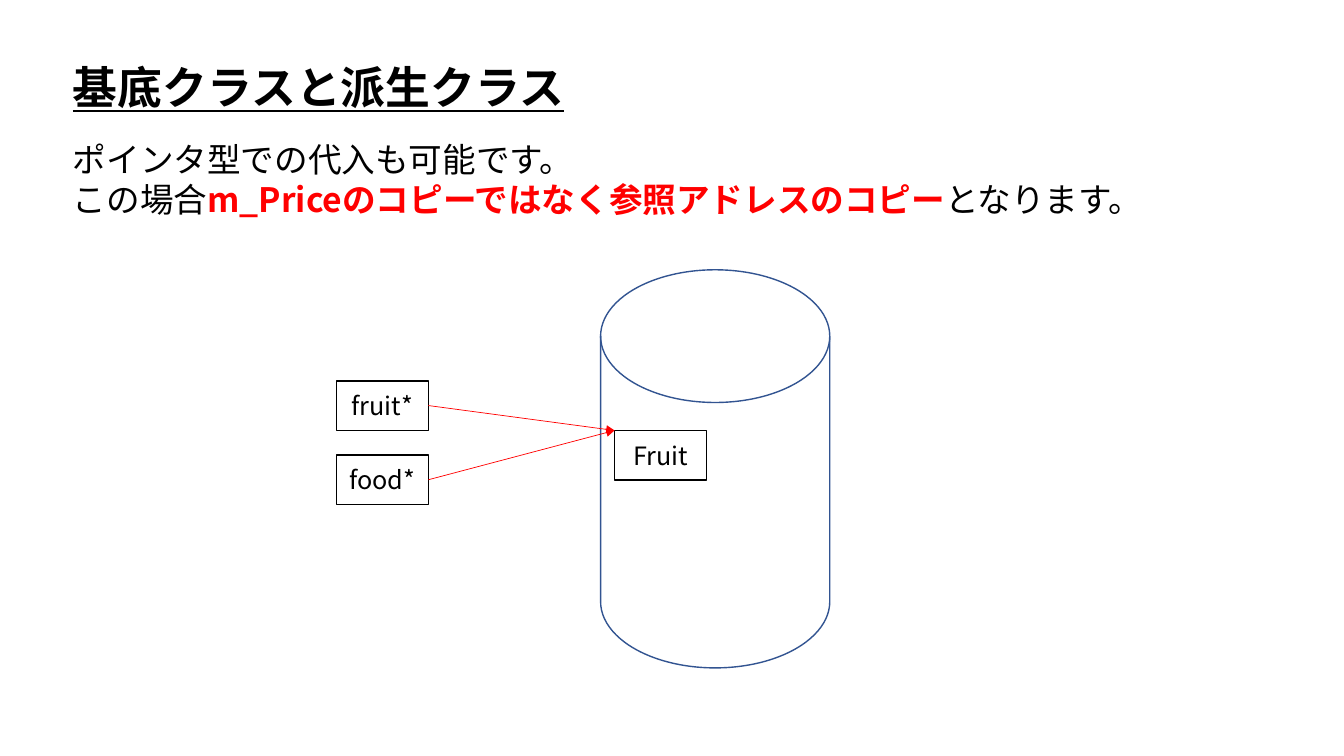
import pptx
import pptx.dml.color
import pptx.enum.shapes
import pptx.enum.text
import pptx.oxml.ns
import pptx.util
from lxml import etree

Pt = pptx.util.Pt
RGBColor = pptx.dml.color.RGBColor
Shape = pptx.enum.shapes.MSO_SHAPE
qn = pptx.oxml.ns.qn

FONT = "Noto Sans CJK JP"
BLACK = RGBColor(0x00, 0x00, 0x00)
WHITE = RGBColor(0xFF, 0xFF, 0xFF)
RED = RGBColor(0xFF, 0x00, 0x00)
BLUE = RGBColor(0x32, 0x54, 0x91)


def add_text(para, text, size, color=BLACK, bold=False, underline=None):
    span = para.add_run()
    span.text = text
    font = span.font
    font.size = Pt(size)
    font.bold = bold
    font.underline = underline
    font.color.rgb = color
    font.name = FONT
    # East Asian characters take their typeface from a:ea
    etree.SubElement(span._r.get_or_add_rPr(), qn("a:ea"), typeface=FONT)


def add_text_box(page, left, top, width, height):
    frame = page.shapes.add_textbox(Pt(left), Pt(top), Pt(width), Pt(height)).text_frame
    frame.word_wrap = False
    frame.auto_size = pptx.enum.text.MSO_AUTO_SIZE.SHAPE_TO_FIT_TEXT
    return frame


deck = pptx.Presentation()
deck.slide_width, deck.slide_height = Pt(960), Pt(540)
page = deck.slides.add_slide(deck.slide_layouts[6])

# Title
title = add_text_box(page, 45, 39, 370, 46)
add_text(title.paragraphs[0], "基底クラスと派生クラス", size=32, bold=True, underline=True)

# Explanation
body = add_text_box(page, 45, 95.5, 783, 65.5)
add_text(body.paragraphs[0], "ポインタ型での代入も可能です。", size=24)
para = body.add_paragraph()
add_text(para, "この場合", size=24)
add_text(para, "m_Priceのコピーではなく参照アドレスのコピー", size=24, color=RED, bold=True)
add_text(para, "となります。", size=24)

# Memory cylinder
memory = page.shapes.add_shape(
    Shape.FLOWCHART_MAGNETIC_DISK, Pt(429), Pt(192.7), Pt(163.7), Pt(284.4))
memory.shadow.inherit = False
memory.fill.background()
memory.line.color.rgb = BLUE
memory.line.width = Pt(1)

# Object and the two pointers to it
boxes = {}
for label, left, top in (("Fruit", 439, 307.5), ("fruit*", 240.4, 272), ("food*", 240.4, 325)):
    box = page.shapes.add_shape(Shape.RECTANGLE, Pt(left), Pt(top), Pt(65.6), Pt(35.4))
    box.shadow.inherit = False
    box.fill.solid()
    box.fill.fore_color.rgb = WHITE
    box.line.color.rgb = BLACK
    box.line.width = Pt(1)
    frame = box.text_frame
    frame.vertical_anchor = pptx.enum.text.MSO_ANCHOR.MIDDLE
    frame.paragraphs[0].alignment = pptx.enum.text.PP_ALIGN.CENTER
    add_text(frame.paragraphs[0], label, size=18)
    boxes[label] = box

# Arrows from each pointer to the top left corner of the object
target = boxes["Fruit"]
for label in ("fruit*", "food*"):
    pointer = boxes[label]
    arrow = page.shapes.add_connector(
        pptx.enum.shapes.MSO_CONNECTOR.STRAIGHT,
        pointer.left + pointer.width, pointer.top + pointer.height // 2,
        target.left, target.top)
    arrow.begin_connect(pointer, 3)
    arrow.line.color.rgb = RED
    arrow.line.width = Pt(0.5)
    etree.SubElement(arrow.line._get_or_add_ln(), qn("a:tailEnd"), type="triangle")
    etree.SubElement(arrow._element.spPr, qn("a:effectLst"))

deck.save("out.pptx")
